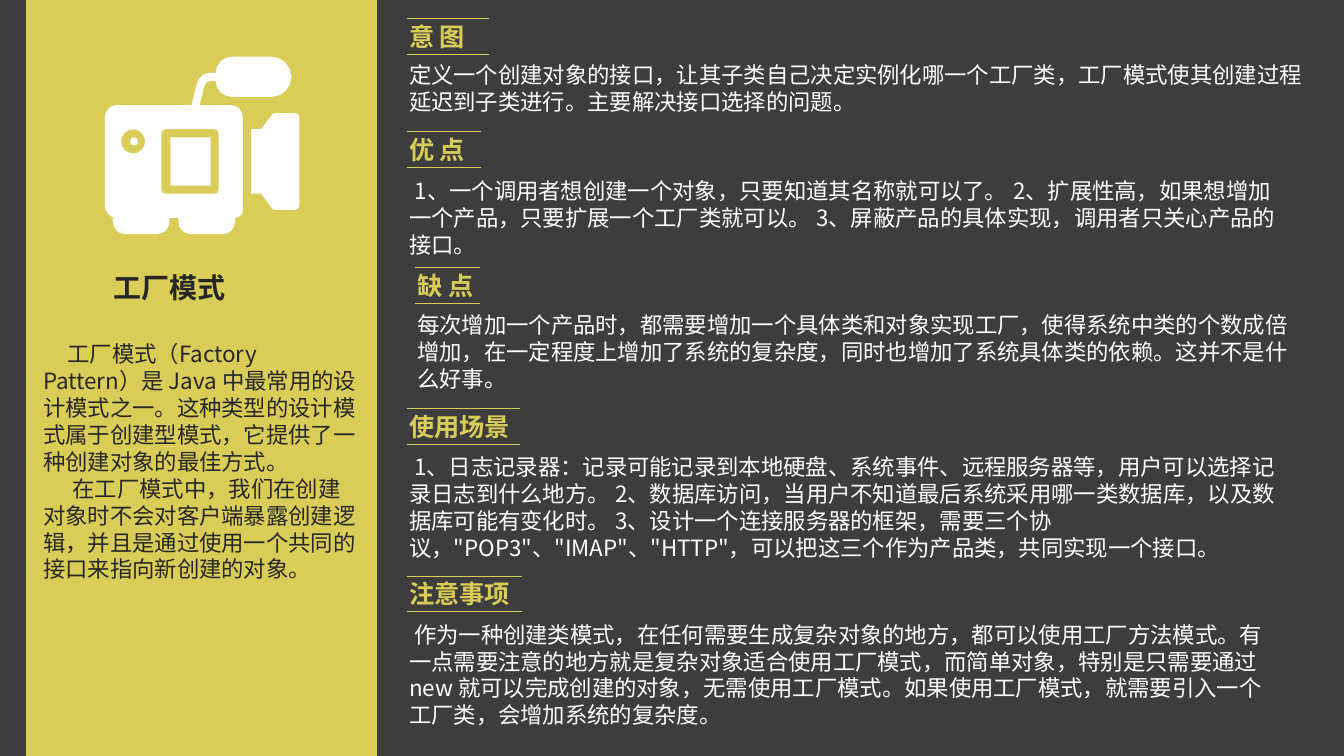
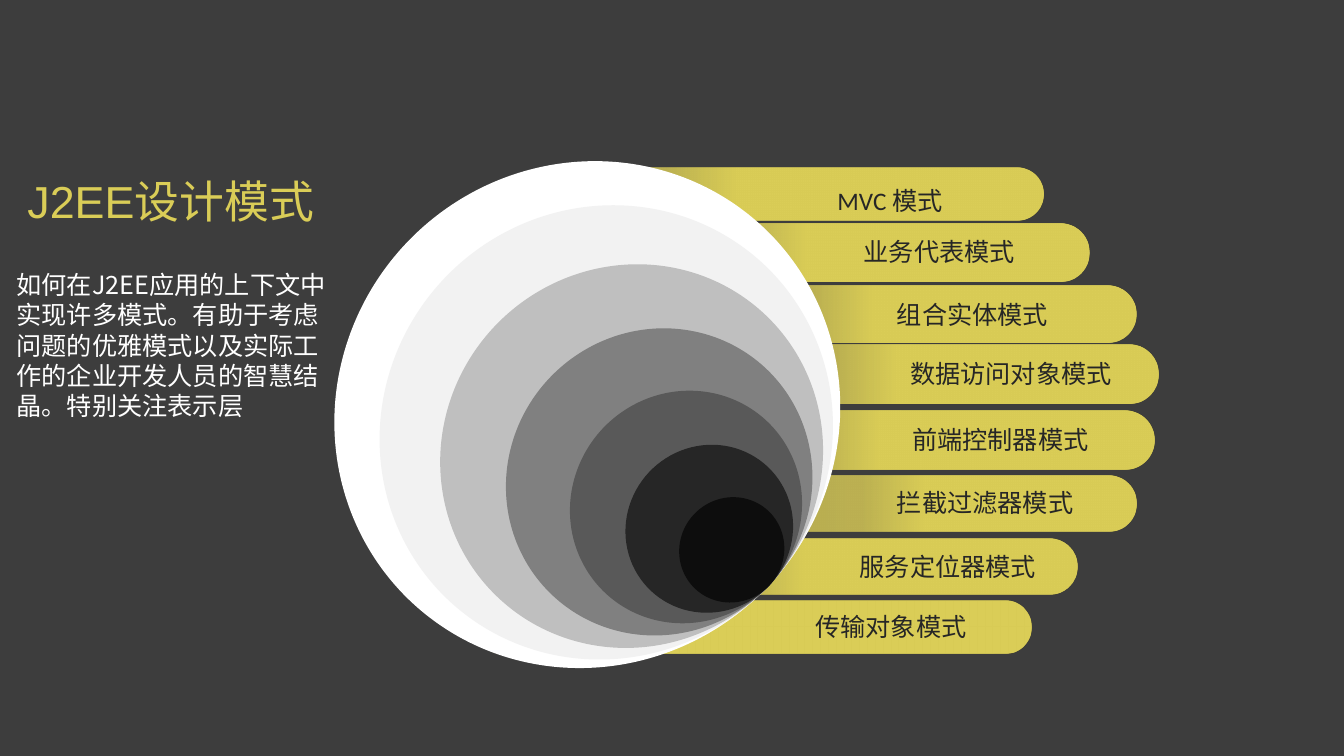
from dataclasses import dataclass

from lxml import etree
from pptx import Presentation
from pptx.dml.color import RGBColor
from pptx.enum.lang import MSO_LANGUAGE_ID
from pptx.enum.shapes import MSO_CONNECTOR, MSO_SHAPE
from pptx.oxml.ns import qn
from pptx.util import Emu, Pt

RECTANGLE = MSO_SHAPE.RECTANGLE
ROUNDED = MSO_SHAPE.ROUNDED_RECTANGLE
OVAL = MSO_SHAPE.OVAL
STRAIGHT = MSO_CONNECTOR.STRAIGHT
CHINESE = MSO_LANGUAGE_ID.SIMPLIFIED_CHINESE

CELL = 76200
COLUMNS, ROWS = 160, 90


@dataclass(frozen=True)
class Theme:
    """Colours, fonts and type sizes shared by the slides."""
    background: str = "3D3D3D"
    accent: str = "DACD57"
    light: str = "FFFFFF"
    dark: str = "262626"
    circles: tuple = ("FFFFFF", "F2F2F2", "BFBFBF", "808080", "595959", "262626", "0D0D0D")
    chinese_font: str = "Noto Sans CJK KR"
    label_font: str = "Calibri"
    title_font: str = "Arial"
    body: int = 16
    heading: int = 18
    name: int = 20
    title: int = 32
    rule: float = 0.5


THEME = Theme()


@dataclass(frozen=True)
class Section:
    """A ruled heading with its text, placed in grid cells."""
    heading: str
    top: float
    body_top: float
    rule_length: float
    body_width: float
    runs: tuple
    left: float = 47.52


@dataclass(frozen=True)
class Bar:
    """A labelled bar, placed in grid cells."""
    label: str
    left: float
    top: float
    width: float
    height: float
    label_left: float
    label_top: float
    stops: tuple = (0, 19, 34, 48, 100)


SECTIONS = (
    Section("意 图", 1.92, 6.72, 9.75, 109.2, (
        ("定义一个创建对象的接口，让其子类自己决定实例化哪一个工厂类，工厂模式使其创建过程"
         "延迟到子类进行。主要解决接口选择的问题。", THEME.body),)),
    Section("优 点", 15.36, 20.16, 8.76, 106.68, (
        (" ", THEME.heading),
        ("1、一个调用者想创建一个对象，只要知道其名称就可以了。 2、扩展性高，如果想增加一个产品，"
         "只要扩展一个工厂类就可以。 3、屏蔽产品的具体实现，调用者只关心产品的接口。", THEME.body))),
    Section("缺 点", 31.56, 36.48, 7.75, 106.68, (
        ("每次增加一个产品时，都需要增加一个具体类和对象实现工厂，使得系统中类的个数成倍增加，"
         "在一定程度上增加了系统的复杂度，同时也增加了系统具体类的依赖。这并不是什么好事。",
         THEME.body),), 48.48),
    Section("使用场景", 48.36, 53.4, 13.4, 105.72, (
        (" 1、日志记录器：记录可能记录到本地硬盘、系统事件、远程服务器等，用户可以选择记录日志到"
         "什么地方。 2、数据库访问，当用户不知道最后系统采用哪一类数据库，以及数据库可能有变化时。"
         " 3、设计一个连接服务器的框架，需要三个协议，\"POP3\"、\"IMAP\"、\"HTTP\"，"
         "可以把这三个作为产品类，共同实现一个接口。", THEME.body),)),
    Section("注意事项", 68.28, 73.32, 13.7, 105.72, (
        (" 作为一种创建类模式，在任何需要生成复杂对象的地方，都可以使用工厂方法模式。有一点需要"
         "注意的地方就是复杂对象适合使用工厂模式，而简单对象，特别是只需要通过 new 就可以完成创建的"
         "对象，无需使用工厂模式。如果使用工厂模式，就需要引入一个工厂类，会增加系统的复杂度。",
         THEME.body),)),
)

BARS = (
    Bar("传输对象模式", 56.76, 71.52, 66, 6.24, 95.88, 72.24),
    Bar("MVC 模式", 69.12, 19.92, 55.08, 6.36, 98.52, 21.48),
    Bar("服务定位器模式", 79.08, 64.08, 49.2, 6.72, 101.16, 65.04),
    Bar("拦截过滤器模式", 83.04, 56.64, 52.2, 6.6, 105.6, 57.48, (0, 38, 52, 63, 100)),
    Bar("前端控制器模式", 88.08, 48.84, 49.32, 7.08, 107.4, 49.92),
    Bar("数据访问对象模式", 90.96, 41.04, 46.92, 6.96, 107.16, 42.12),
    Bar("组合实体模式", 88.08, 33.96, 47.16, 6.84, 105.6, 35.04),
    Bar("业务代表模式", 78.84, 26.64, 50.88, 6.84, 101.64, 27.6),
)
BAR_OPACITY = (74, 81, 100, 100, 100)

CIRCLE_WIDTHS = (61.2, 54.84, 46.32, 37.08, 28.08, 20.28, 12.72)
FIRST_CENTRE, LAST_CENTRE = (69.92, 49.36), (87.12, 65.46)

CAMERA_LEFT, CAMERA_TOP, CAMERA_UNIT = 12.48, 6.75, 0.48
CAMERA_BODY = (
    (34.25, 12, 3), (23.5, 12, 0), (25, 6, 1.25), (27.5, 6, 0), (27.5, 10, 4),
    (46.25, 10, 5), (46.25, 0, 5), (27.5, 0, 4), (27.5, 4, 0), (23.5, 4, 2.5),
    (21.5, 12, 0), (0, 12, 3), (0, 40, 3), (2, 40, 0), (2, 44, 3), (16, 44, 3),
    (16, 40, 0), (18.25, 40, 0), (18.25, 44, 3), (32.25, 44, 3), (32.25, 40, 0),
    (34.25, 40, 2),
)
CAMERA_DIAL = ((4, 18, 3), (10, 18, 3), (10, 24, 3), (4, 24, 3))
CAMERA_WINDOW = ((14, 18, 1), (28.25, 18, 1), (28.25, 34, 1), (14, 34, 1))
CAMERA_LENS = (
    (48.25, 14, 1), (41.75, 14, 0.5), (38.75, 18, 0), (36.25, 18, 0),
    (36.25, 34, 0), (38.75, 34, 0), (41.75, 38, 0.5), (48.25, 38, 1),
)


def cells(*values):
    """Turn grid cells into slide lengths."""
    return [Emu(round(value * CELL)) for value in values]


def style_shape(shape, colour):
    """Give a shape a plain fill without line or shadow."""
    shape.shadow.inherit = False
    shape.line.fill.background()
    shape.fill.solid()
    shape.fill.fore_color.rgb = RGBColor.from_string(colour)


def add_block(slide, kind, box, colour):
    """Add a filled preset shape."""
    shape = slide.shapes.add_shape(kind, *cells(*box))
    style_shape(shape, colour)
    return shape


def add_text(slide, box, paragraphs, colour, font=THEME.chinese_font, bold=False, indents=()):
    """Add a text box whose paragraphs are lists of text and size runs."""
    frame = slide.shapes.add_textbox(*cells(*box)).text_frame
    frame.word_wrap = True
    for index, runs in enumerate(paragraphs):
        paragraph = frame.add_paragraph() if index else frame.paragraphs[0]
        if indents:
            paragraph._p.get_or_add_pPr().set("indent", str(cells(indents[index])[0]))
        for text, size in runs:
            run = paragraph.add_run()
            run.text = text
            run.font.size = Pt(size)
            run.font.bold = bold
            run.font.name = font
            run.font.language_id = CHINESE
            run.font.color.rgb = RGBColor.from_string(colour)
            east_asian = etree.SubElement(run._r.get_or_add_rPr(), qn("a:ea"))
            east_asian.set("typeface", THEME.chinese_font)


def add_rule(slide, left, top, length):
    """Add a thin horizontal accent line."""
    line = slide.shapes.add_connector(STRAIGHT, *cells(left, top, left + length, top))
    line.line.color.rgb = RGBColor.from_string(THEME.accent)
    line.line.width = Pt(THEME.rule)
    etree.SubElement(line._element.spPr, qn("a:effectLst"))


def add_section(slide, section):
    """Add a heading between two rules and the text under it."""
    add_text(slide, (section.left, section.body_top, section.body_width, 11),
             [section.runs], THEME.light)
    add_text(slide, (section.left, section.top, 40, 4.8),
             [[(section.heading, THEME.heading)]], THEME.accent, bold=True)
    for offset in (0.3, 4.55):
        add_rule(slide, section.left + 0.96, section.top + offset, section.rule_length)


def toward(start, end, distance):
    """Return the point at a distance from start on the way to end."""
    span = ((end[0] - start[0]) ** 2 + (end[1] - start[1]) ** 2) ** 0.5
    return tuple(a + (b - a) * distance / span for a, b in zip(start[:2], end[:2]))


def rounded_outline(corners):
    """Return slide points of a polygon whose corners are rounded."""
    points = []
    for index, corner in enumerate(corners):
        radius = corner[2]
        neighbours = corners[index - 1], corners[(index + 1) % len(corners)]
        if not radius:
            points.append(corner[:2])
            continue
        start, finish = (toward(corner, other, radius) for other in neighbours)
        pull, push = (toward(corner, other, radius * 0.45) for other in neighbours)
        steps = 4 if radius >= 2 else 2
        for step in range(steps + 1):
            t = step / steps
            weights = (1 - t) ** 3, 3 * t * (1 - t) ** 2, 3 * t * t * (1 - t), t ** 3
            points.append(tuple(sum(weight * point[axis] for weight, point
                                    in zip(weights, (start, pull, push, finish)))
                                for axis in (0, 1)))
    placed = [tuple(cells(CAMERA_LEFT + x * CAMERA_UNIT, CAMERA_TOP + y * CAMERA_UNIT))
              for x, y in points]
    return list(dict.fromkeys(placed))


def add_outline(slide, *contours):
    """Add a light freeform; contours after the first are holes."""
    outlines = [rounded_outline(contour) for contour in contours]
    builder = slide.shapes.build_freeform(*outlines[0][0])
    builder.add_line_segments(outlines[0][1:], close=True)
    for outline in outlines[1:]:
        builder.move_to(*outline[0])
        builder.add_line_segments(outline[1:], close=True)
    style_shape(builder.convert_to_shape(), THEME.light)


def add_camera(slide):
    """Draw the camera icon."""
    add_outline(slide, CAMERA_LENS)
    add_outline(slide, CAMERA_BODY, CAMERA_DIAL, CAMERA_WINDOW)
    for kind, x, y, width, height in ((OVAL, 6.25, 20, 2, 2), (RECTANGLE, 16.25, 20, 10, 12)):
        box = (CAMERA_LEFT + x * CAMERA_UNIT, CAMERA_TOP + y * CAMERA_UNIT,
               width * CAMERA_UNIT, height * CAMERA_UNIT)
        add_block(slide, kind, box, THEME.light)


def add_bar(slide, bar):
    """Add a round-ended bar that fades in from the left."""
    shape = add_block(slide, ROUNDED, (bar.left, bar.top, bar.width, bar.height), THEME.accent)
    shape.adjustments[0] = 0.5
    shape.fill.gradient()
    shape.fill.gradient_angle = 0
    stop_list = shape._element.spPr.find(qn("a:gradFill")).find(qn("a:gsLst"))
    for stop in list(stop_list):
        stop_list.remove(stop)
    for position, opacity in zip(bar.stops, BAR_OPACITY):
        stop = etree.SubElement(stop_list, qn("a:gs"), pos=str(position * 1000))
        colour = etree.SubElement(stop, qn("a:srgbClr"), val=THEME.accent)
        etree.SubElement(colour, qn("a:alpha"), val=str(opacity * 1000))


def add_label(slide, bar):
    """Write a bar's label, reaching to the bar's right end."""
    width = bar.left + bar.width - bar.label_left
    add_text(slide, (bar.label_left, bar.label_top, width, 4.8),
             [[(bar.label, THEME.heading)]], THEME.dark, THEME.label_font)


def add_circles(slide):
    """Nest the circles, moving the centre as they shrink."""
    largest, smallest = CIRCLE_WIDTHS[0], CIRCLE_WIDTHS[-1]
    for width, colour in zip(CIRCLE_WIDTHS, THEME.circles):
        share = (largest - width) / (largest - smallest)
        x, y = (a + (b - a) * share for a, b in zip(FIRST_CENTRE, LAST_CENTRE))
        height = width * 0.97
        circle = add_block(slide, OVAL, (x - width / 2, y - height / 2, width, height), colour)
        circle.rotation = 313.1


def build_factory(slide):
    """Build the factory pattern slide."""
    add_block(slide, RECTANGLE, (3.12, 0, 41.76, ROWS), THEME.accent)
    add_camera(slide)
    add_text(slide, (12.3, 31.56, 26.3, 5.2), [[("工厂模式", THEME.name)]], THEME.dark, bold=True)
    add_text(slide, (3.96, 39.96, 40.08, 30.24), [
        [("工厂模式（Factory Pattern）是 Java 中最常用的设计模式之一。这种类型的设计模式属于"
          "创建型模式，它提供了一种创建对象的最佳方式。", THEME.body)],
        [("在工厂模式中，我们在创建对象时不会对客户端暴露创建逻辑，并且是通过使用一个共同的接口"
          "来指向新创建的对象。", THEME.body)],
    ], THEME.dark, indents=(2.9, 3.5))
    for section in SECTIONS:
        add_section(slide, section)


def build_enterprise(slide):
    """Build the J2EE patterns slide."""
    for bar in BARS:
        add_bar(slide, bar)
    add_circles(slide)
    for bar in BARS:
        add_label(slide, bar)
    add_text(slide, (2.08, 20.04, 46.2, 7.7), [[("J2EE设计模式", THEME.title)]],
             THEME.accent, THEME.title_font)
    add_text(slide, (0.78, 31.48, 39.48, 19.32), [[
        ("如何在J2EE应用的上下文中实现许多模式。有助于考虑问题的优雅模式以及实际工作的"
         "企业开发人员的智慧结晶。特别关注表示层", THEME.heading)]], THEME.light)


def main():
    """Build and save the presentation."""
    presentation = Presentation()
    presentation.slide_width, presentation.slide_height = cells(COLUMNS, ROWS)
    backdrop = presentation.slide_master.background.fill
    backdrop.solid()
    backdrop.fore_color.rgb = RGBColor.from_string(THEME.background)
    for build in (build_factory, build_enterprise):
        build(presentation.slides.add_slide(presentation.slide_layouts[6]))
    presentation.save("out.pptx")


if __name__ == "__main__":
    main()
